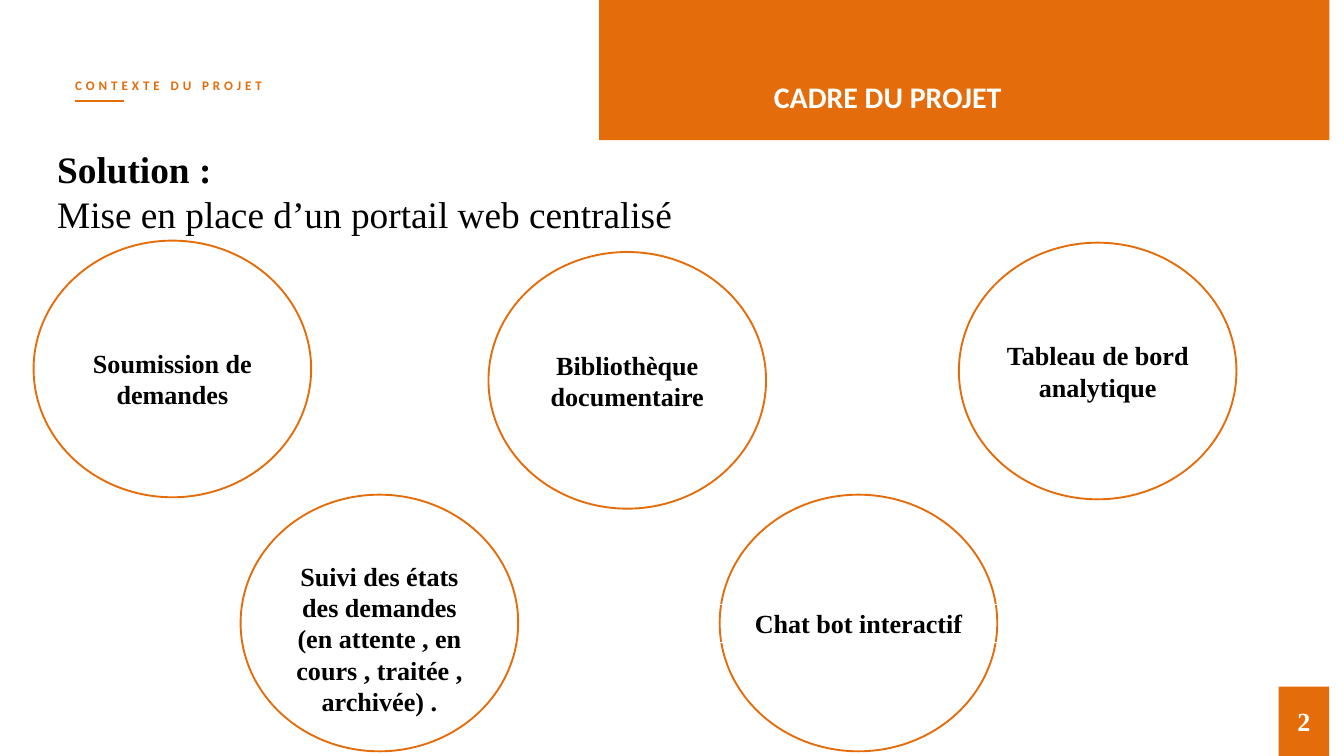
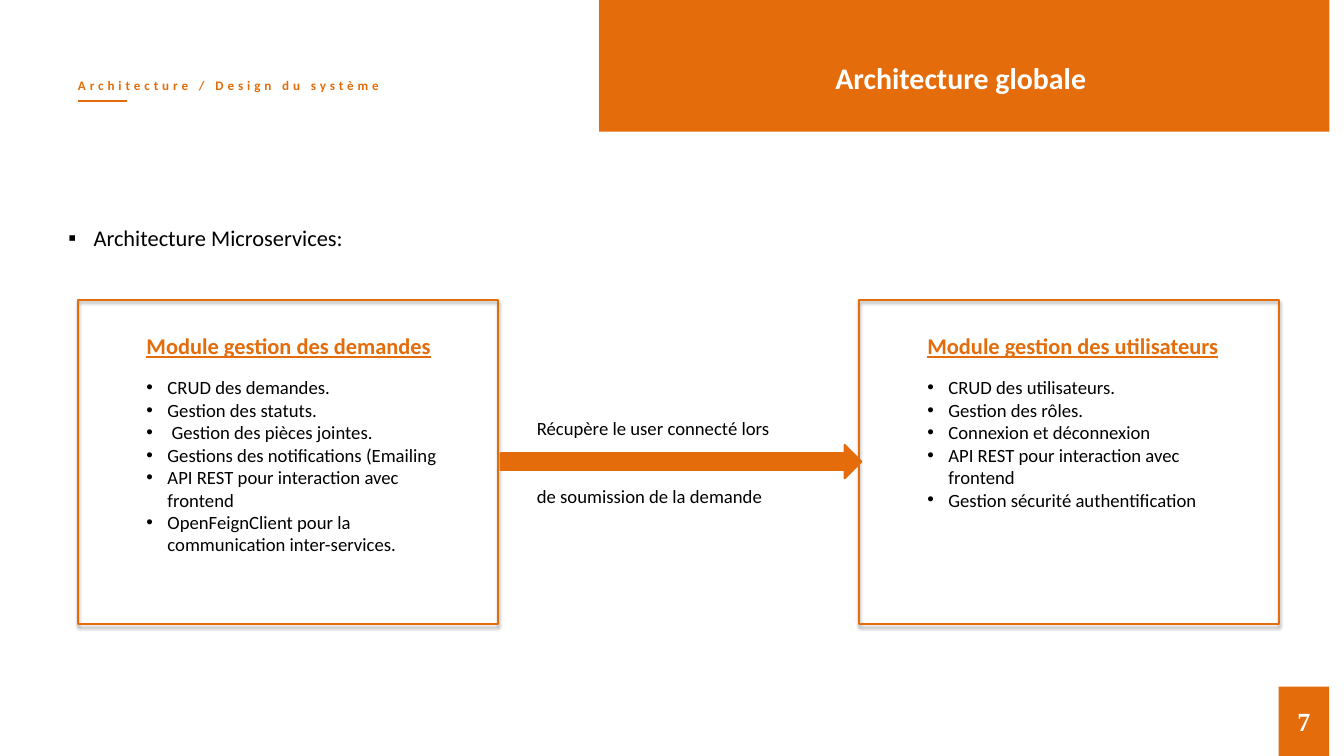
from lxml import etree
from pptx import Presentation
from pptx.dml.color import RGBColor
from pptx.enum.shapes import MSO_CONNECTOR as Connector, MSO_SHAPE as Shape
from pptx.enum.text import MSO_ANCHOR as Anchor, MSO_AUTO_SIZE as AutoSize, PP_ALIGN as Align
from pptx.oxml.ns import qn
from pptx.util import Pt

COLORS = {"orange": "E46C0A", "white": "FFFFFF", "black": "000000"}
SANS, SERIF = "Calibri", "Times New Roman"
BAND_LEFT, BAND_WIDTH = 642, 782.4
BADGE_BOX = (1370, 735.8, 54, 74.2)
CIRCLE_SIZE = (297.4, 275)


def color(name):
    return RGBColor.from_string(COLORS[name])


def points(box):
    return [Pt(length) for length in box]


def place(placeholder, box):
    placeholder.left, placeholder.top, placeholder.width, placeholder.height = points(box)
    frame = placeholder.text_frame
    frame.auto_size = AutoSize.NONE
    frame.vertical_anchor = Anchor.TOP
    return frame


def add_text_box(slide, box):
    label = slide.shapes.add_textbox(*points(box))
    label.text_frame.word_wrap = True
    return label


def add_figure(slide, kind, box, fill=None, outline=None):
    figure = slide.shapes.add_shape(kind, *points(box))
    figure.shadow.inherit = False
    if fill:
        figure.fill.solid()
        figure.fill.fore_color.rgb = color(fill)
    else:
        figure.fill.background()
    if outline:
        figure.line.color.rgb = color(outline)
        figure.line.width = Pt(2)
    else:
        figure.line.fill.background()
    return figure


def add_bullet(paragraph, char, indent):
    properties = paragraph._p.get_or_add_pPr()
    properties.set("marL", str(Pt(indent)))
    properties.set("indent", str(-Pt(indent)))
    etree.SubElement(properties, qn("a:buFont"), typeface="Arial")
    etree.SubElement(properties, qn("a:buChar"), char=char)


def write(frame, lines, size, font=SERIF, ink="black", bold=False, align=Align.LEFT,
          bullet=None, indent=0):
    paragraphs = []
    for number, line in enumerate(lines):
        paragraph = frame.add_paragraph() if number else frame.paragraphs[0]
        paragraph.alignment = align
        paragraph.space_before = Pt(0)
        if bullet:
            add_bullet(paragraph, bullet, indent)
        run = paragraph.add_run()
        run.text = line
        run.font.size = Pt(size)
        run.font.name = font
        run.font.bold = bold
        run.font.color.rgb = color(ink)
        paragraphs.append(paragraph)
    return paragraphs


def add_section_label(slide, box, section):
    left, top, width, height = box
    frame = add_text_box(slide, box).text_frame
    frame.margin_left = frame.margin_top = frame.margin_right = frame.margin_bottom = 0
    paragraph, = write(frame, [section], 14, SANS, "orange", True)
    paragraph.line_spacing = Pt(19.6)
    paragraph.runs[0].font._element.set("spc", "420")
    bottom = top + height
    underline = slide.shapes.add_connector(
        Connector.STRAIGHT, *points((left, bottom, left + 52.5, bottom)))
    underline.line.color.rgb = color("orange")
    underline.line.width = Pt(1.5)
    etree.SubElement(underline._element.spPr, qn("a:effectLst"))


def add_title_band(slide, box, title, title_offset, title_width):
    left, top, width, height = box
    add_figure(slide, Shape.RECTANGLE, box, "orange")
    heading = slide.shapes.title
    offset_x, offset_y = title_offset
    frame = place(heading, (left + offset_x, top + offset_y, title_width, 46))
    write(frame, [title], 32, SANS, "white", True)
    heading.element.getparent().append(heading.element)


def add_page_badge(slide, box, page):
    frame = add_figure(slide, Shape.RECTANGLE, box, "orange").text_frame
    frame.vertical_anchor = Anchor.MIDDLE
    write(frame, [page], 28, ink="white", bold=True, align=Align.CENTER)


def add_frame(slide, section, section_left, title, band_height, title_offset, title_width, page):
    add_section_label(slide, (section_left, 80.6, 430, 27.4), section)
    add_title_band(slide, (BAND_LEFT, 0, BAND_WIDTH, band_height), title,
                   title_offset, title_width)
    add_page_badge(slide, BADGE_BOX, page)


def add_feature(slide, box, feature, lowered=0):
    frame = add_figure(slide, Shape.OVAL, box, "white", "orange").text_frame
    frame.word_wrap = True
    frame.vertical_anchor = Anchor.MIDDLE
    frame.margin_top = Pt(3.6 + lowered)
    write(frame, [feature], 28, bold=True, align=Align.CENTER)


def add_labelled_feature(slide, box, feature, label_top, label_width, label_height, edge=None):
    left, top, width, height = box
    add_figure(slide, Shape.OVAL, box, "white", "orange")
    label = add_text_box(slide, (left + (width - label_width) / 2, top + label_top,
                                 label_width, label_height))
    if edge:
        label.line.color.rgb = color(edge)
        label.line.width = Pt(0.75)
    write(label.text_frame, [feature], 28, bold=True, align=Align.CENTER)


def build_solution(deck):
    slide = deck.slides.add_slide(deck.slide_layouts[1])
    add_frame(slide, "CONTEXTE DU PROJET", 80.6, "CADRE DU PROJET", 150.3,
              (180, 80.6), 354, "2")
    frame = place(slide.placeholders[1], (54, 153.4, 1317.6, 104.4))
    solution, detail = write(
        frame, ["Solution :", "Mise en place d’un portail web centralisé"], 40)
    solution.runs[0].font.bold = True
    for paragraph in (solution, detail):
        properties = paragraph._p.get_or_add_pPr()
        properties.set("marL", "0")
        properties.set("indent", "0")
        etree.SubElement(properties, qn("a:buNone"))

    add_labelled_feature(slide, (36, 257.8, *CIRCLE_SIZE), "Soumission de demandes",
                         110.5, 244, 75)
    add_labelled_feature(slide, (771.1, 530, *CIRCLE_SIZE), "Chat bot interactif",
                         117.3, 720, 41, "white")
    add_feature(slide, (523.4, 270, *CIRCLE_SIZE), "Bibliothèque documentaire")
    add_feature(slide, (257.8, 530, *CIRCLE_SIZE),
                "Suivi des états des demandes (en attente , en cours , traitée , archivée) .", 33)
    add_feature(slide, (1027.4, 260, *CIRCLE_SIZE), "Tableau de bord analytique")


def add_module(slide, box, heading, features, heading_holder, list_holder):
    left, top, width, height = box
    card = add_figure(slide, Shape.RECTANGLE, box, outline="orange")
    effects = card._element.spPr.find(qn("a:effectLst"))
    shadow = etree.SubElement(effects, qn("a:outerShdw"), blurRad=str(Pt(4)),
                              dist=str(Pt(3)), dir="5400000", rotWithShape="0")
    shade = etree.SubElement(shadow, qn("a:srgbClr"), val=COLORS["black"])
    etree.SubElement(shade, qn("a:alpha"), val="40000")

    frame = place(heading_holder, (left + 66.2, top + 31, 330, 36))
    frame.word_wrap = False
    paragraph, = write(frame, [heading], 24, SANS, "orange", True)
    paragraph.runs[0].font.underline = True
    frame = place(list_holder, (left + 66.2, top + 78.5, 327.6, 247))
    write(frame, features, 20, SANS, bullet="•", indent=22.5)


def add_exchange(slide, box, lines):
    left, top, width, height = box
    add_figure(slide, Shape.RIGHT_ARROW, box, "orange", "orange")
    caption = add_text_box(slide, (left + 31.7, top - 33.8, width, 104.4))
    above, below = write(caption.text_frame, lines, 20, SANS)
    below.space_before = Pt(48.8)


def build_architecture(deck):
    slide = deck.slides.add_slide(deck.slide_layouts[4])
    add_frame(slide, "Architecture / Design du système", 83.5, "Architecture globale", 141.1,
              (245.8, 60.5), 401.8, "7")
    style = add_text_box(slide, (66.2, 236.9, 720, 36))
    write(style.text_frame, ["Architecture Microservices:"], 24, SANS, bullet="▪", indent=27)

    holders = slide.placeholders
    add_module(slide, (83.5, 321.1, 450, 347.8), "Module gestion des demandes", [
        "CRUD des demandes.",
        "Gestion des statuts.",
        " Gestion des pièces jointes.",
        "Gestions des notifications (Emailing",
        "API REST pour interaction avec frontend",
        "OpenFeignClient pour la communication inter-services.",
    ], holders[1], holders[2])
    add_module(slide, (920.2, 321.1, 450, 347.8), "Module gestion des utilisateurs", [
        "CRUD des utilisateurs.",
        "Gestion des rôles.",
        "Connexion et déconnexion",
        "API REST pour interaction avec frontend",
        "Gestion sécurité authentification",
    ], holders[3], holders[4])
    add_exchange(slide, (536.4, 476.6, 386.6, 36),
                 ["Récupère le user connecté lors", "de soumission de la demande"])


def main():
    deck = Presentation()
    deck.slide_width, deck.slide_height = Pt(1440), Pt(810)
    build_solution(deck)
    build_architecture(deck)
    deck.save("out.pptx")


if __name__ == "__main__":
    main()
